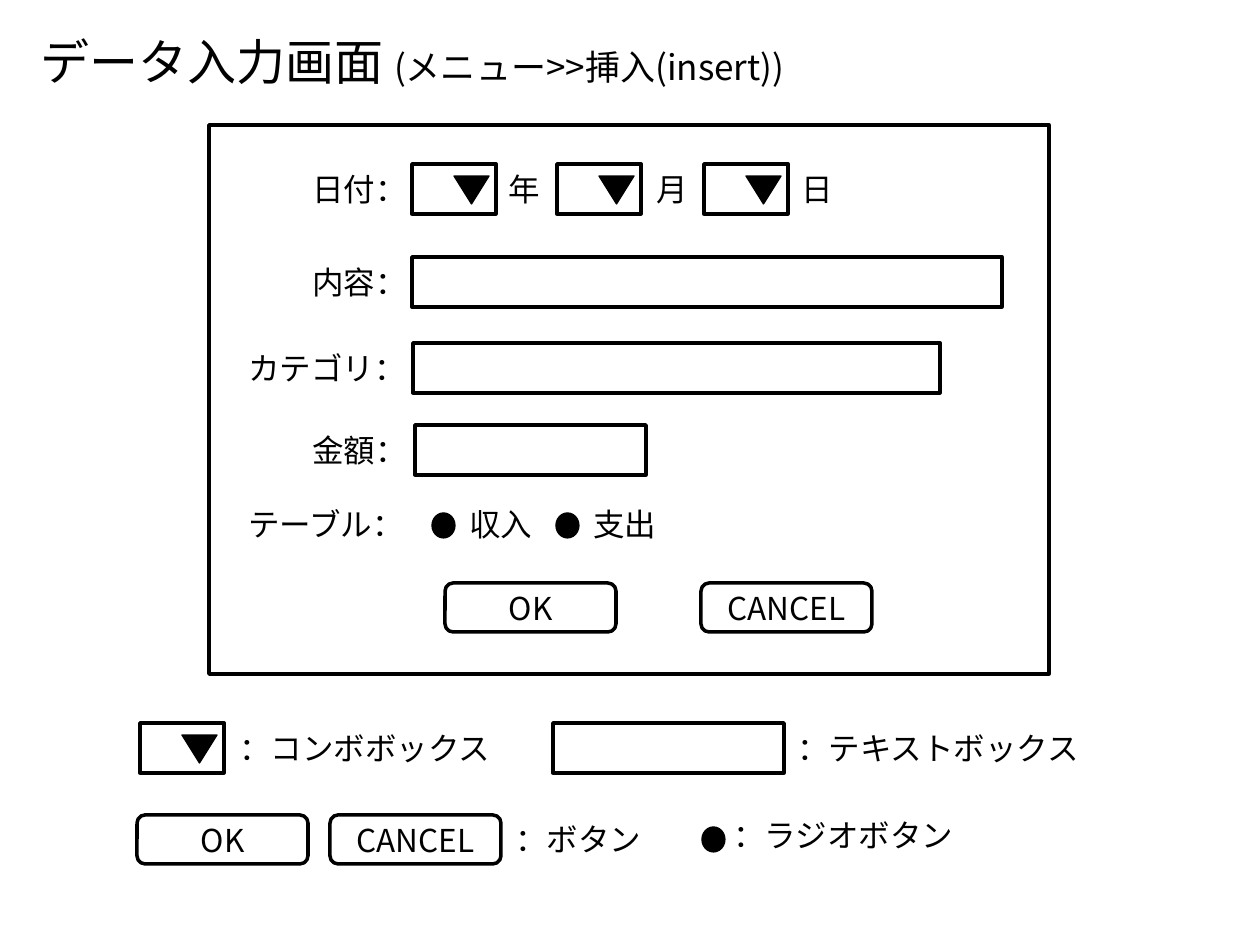
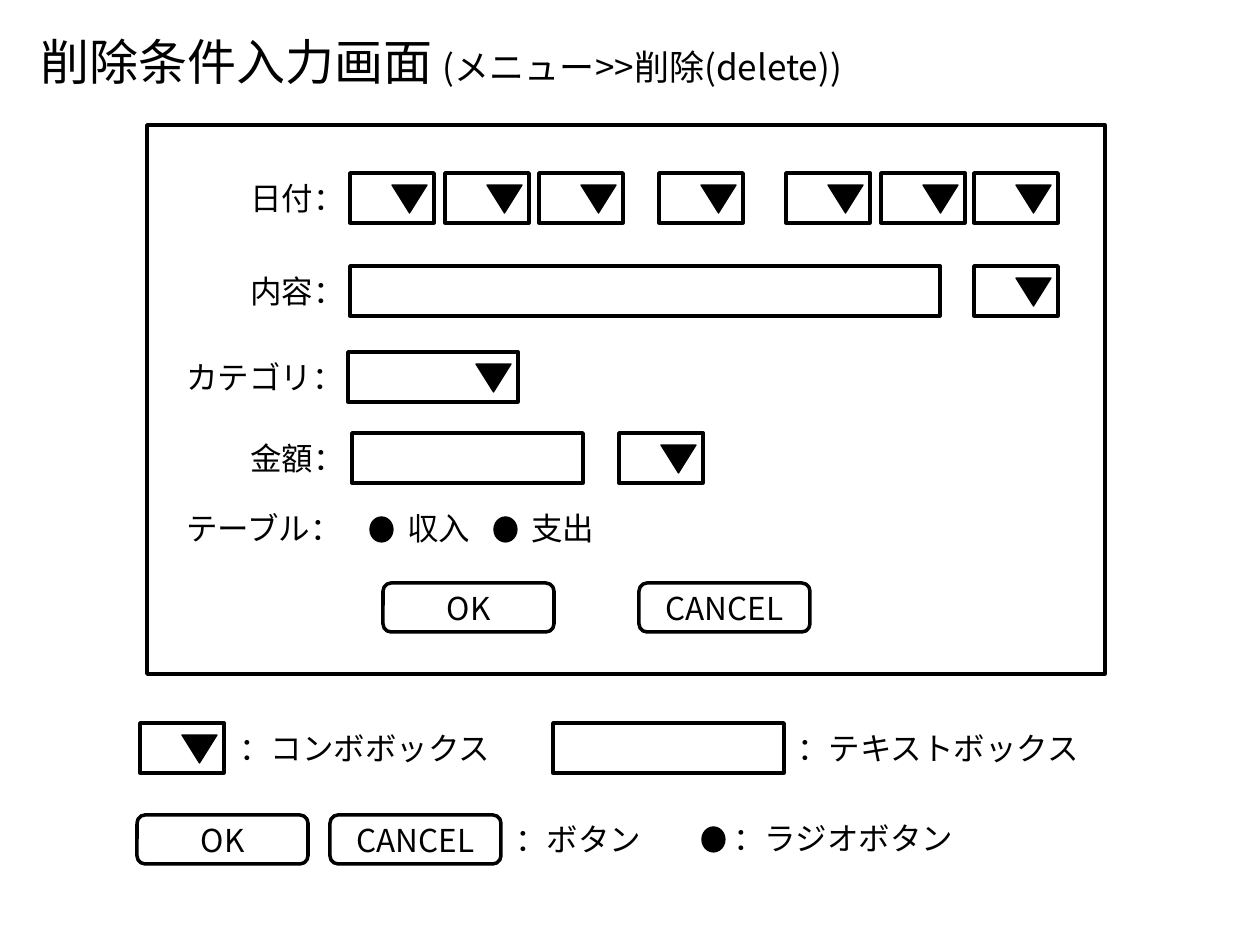
from lxml import etree
from pptx import Presentation
from pptx import util as u
from pptx.dml.color import RGBColor
from pptx.enum import shapes, text
from pptx.oxml.ns import qn

PIXELS_PER_INCH = 126
FONT = "Noto Sans CJK JP"
INK = "000000"
TITLE_SIZE, MENU_SIZE, BODY_SIZE = 28, 20, 18

FIELD_HEIGHT = 50
COMBO_WIDTH = 84
BUTTON_SIZE = (171, 49)
ARROW_SIZE = (35, 28)
RADIO_SIZE = (23, 25)
RADIO_CHOICES = [("収入", 20), ("支出", 144)]
FORM_BUTTONS = [("OK", 33), ("CANCEL", 289)]
FRAME_TOP, FRAME_HEIGHT, BUTTON_TOP = 125, 549, 583

SCREENS = [
    {
        "title": "データ入力画面 ",
        "menu": "(メニュー>>挿入(insert))",
        "title_width": 816,
        "frame": (209, 840),
        "field_left": 412,
        "rows": [
            ("日付：", 164, [("combo", 412, COMBO_WIDTH), ("label", 496, "年"),
                           ("combo", 557, COMBO_WIDTH), ("label", 644, "月"),
                           ("combo", 704, COMBO_WIDTH), ("label", 789, "日")]),
            ("内容：", 257, [("field", 412, 590)]),
            ("カテゴリ：", 343, [("field", 413, 527)]),
            ("金額：", 425, [("field", 415, 231)]),
        ],
        "radio_row": 499,
        "radio_legend": 810,
    },
    {
        "title": "削除条件入力画面 ",
        "menu": "(メニュー>>削除(delete))",
        "title_width": 874,
        "frame": (147, 958),
        "field_left": 350,
        "rows": [
            ("日付：", 173, [("combo", left, COMBO_WIDTH)
                           for left in (350, 445, 539, 659, 786, 881, 974)]),
            ("内容：", 266, [("field", 350, 590), ("combo", 974, COMBO_WIDTH)]),
            ("カテゴリ：", 352, [("combo", 348, 170)]),
            ("金額：", 433, [("field", 352, 231), ("combo", 619, COMBO_WIDTH)]),
        ],
        "radio_row": 503,
        "radio_legend": 813,
    },
]

LEGEND = [
    ("combo", 140, 723, COMBO_WIDTH),
    ("label", 227, 723, "：コンボボックス"),
    ("field", 553, 723, 231),
    ("label", 785, 723, "：テキストボックス"),
    ("button", 137, 815, "OK"),
    ("button", 330, 815, "CANCEL"),
    ("label", 503, 814, "：ボタン"),
    ("radio", 702, 827, None),
]


def px(value):
    return u.Emu(round(value * u.Inches(1) / PIXELS_PER_INCH))


def color(value):
    return RGBColor.from_string(value)


def apply(target, values):
    for name, value in values.items():
        setattr(target, name, value)


def add_run(paragraph, wording, size):
    run = paragraph.add_run()
    run.text = wording
    apply(run.font, {"name": FONT, "size": u.Pt(size), "bold": False})
    run.font.color.rgb = color(INK)
    etree.SubElement(run._r.get_or_add_rPr(), qn("a:ea"), typeface=FONT)


def add_outline(slide, kind, left, top, width, height, filled=False):
    shape = slide.shapes.add_shape(kind, px(left), px(top), px(width), px(height))
    shape.shadow.inherit = False
    if filled:
        shape.fill.solid()
        shape.fill.fore_color.rgb = color(INK)
    else:
        shape.fill.background()
    shape.line.color.rgb = color(INK)
    shape.line.width = u.Pt(0.75 if filled else 2)
    return shape


def add_field(slide, left, top, width):
    add_outline(slide, shapes.MSO_SHAPE.RECTANGLE, left, top, width, FIELD_HEIGHT)


def add_combo(slide, left, top, width):
    add_field(slide, left, top, width)
    arrow = add_outline(slide, shapes.MSO_SHAPE.ISOSCELES_TRIANGLE,
                        left + width - 42, top + 12, *ARROW_SIZE, filled=True)
    arrow.rotation = 180


def add_radio(slide, left, top, _):
    add_outline(slide, shapes.MSO_SHAPE.OVAL, left, top, *RADIO_SIZE, filled=True)


def add_button(slide, left, top, caption):
    button = add_outline(slide, shapes.MSO_SHAPE.ROUNDED_RECTANGLE, left, top, *BUTTON_SIZE)
    button.text_frame.vertical_anchor = text.MSO_ANCHOR.MIDDLE
    paragraph = button.text_frame.paragraphs[0]
    paragraph.alignment = text.PP_ALIGN.CENTER
    add_run(paragraph, caption, BODY_SIZE)


def label_width(wording):
    return round(31.5 * len(wording) + 26)


def add_label(slide, left, top, wording):
    box = slide.shapes.add_textbox(px(left), px(top), px(label_width(wording)), px(FIELD_HEIGHT))
    apply(box.text_frame, {"word_wrap": False,
                           "auto_size": text.MSO_AUTO_SIZE.SHAPE_TO_FIT_TEXT})
    add_run(box.text_frame.paragraphs[0], wording, BODY_SIZE)


PARTS = {"field": add_field, "combo": add_combo, "radio": add_radio,
         "button": add_button, "label": add_label}


def add_title(slide, screen):
    title = slide.shapes.title
    apply(title, {"left": px(28), "top": px(25),
                  "width": px(screen["title_width"]), "height": px(72)})
    apply(title.text_frame, {"word_wrap": False,
                             "auto_size": text.MSO_AUTO_SIZE.SHAPE_TO_FIT_TEXT,
                             "vertical_anchor": text.MSO_ANCHOR.TOP})
    paragraph = title.text_frame.paragraphs[0]
    paragraph.alignment = text.PP_ALIGN.LEFT
    add_run(paragraph, screen["title"], TITLE_SIZE)
    add_run(paragraph, screen["menu"], MENU_SIZE)


def add_row_label(slide, screen, top, wording):
    right = screen["field_left"] + 8
    add_label(slide, right - label_width(wording), top, wording)


def add_form(slide, screen):
    left, width = screen["frame"]
    add_outline(slide, shapes.MSO_SHAPE.RECTANGLE, left, FRAME_TOP, width, FRAME_HEIGHT)
    for wording, top, parts in screen["rows"]:
        add_row_label(slide, screen, top, wording)
        for kind, part_left, content in parts:
            PARTS[kind](slide, part_left, top, content)
    field_left, radio_top = screen["field_left"], screen["radio_row"]
    add_row_label(slide, screen, radio_top, "テーブル：")
    for choice, offset in RADIO_CHOICES:
        add_radio(slide, field_left + offset, radio_top + 14, None)
        add_label(slide, field_left + offset + 25, radio_top, choice)
    for caption, offset in FORM_BUTTONS:
        add_button(slide, field_left + offset, BUTTON_TOP, caption)


def add_legend(slide, screen):
    for kind, left, top, content in LEGEND:
        PARTS[kind](slide, left, top, content)
    add_label(slide, 721, screen["radio_legend"], "：ラジオボタン")


def main():
    presentation = Presentation()
    apply(presentation, {"slide_width": px(1260), "slide_height": px(945)})
    for screen in SCREENS:
        slide = presentation.slides.add_slide(presentation.slide_layouts[5])
        add_title(slide, screen)
        add_form(slide, screen)
        add_legend(slide, screen)
    presentation.save("out.pptx")


if __name__ == "__main__":
    main()
